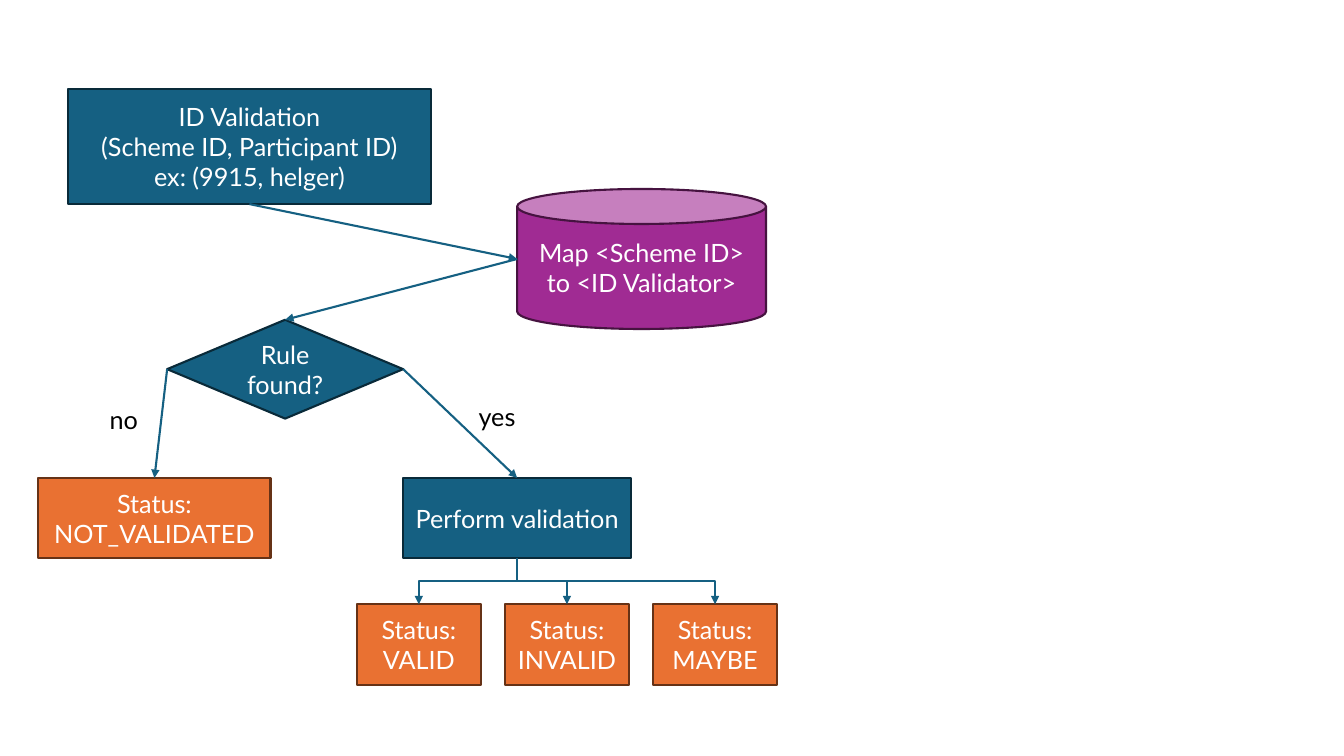
import dataclasses

import pptx
import pptx.dml.color
import pptx.enum.shapes
import pptx.enum.text
import pptx.oxml
import pptx.oxml.ns
import pptx.util

Pt = pptx.util.Pt
Preset = pptx.enum.shapes.MSO_SHAPE
Connector = pptx.enum.shapes.MSO_CONNECTOR
Align = pptx.enum.text.PP_ALIGN


@dataclasses.dataclass(frozen=True)
class Theme:
    font: str = "Lato"
    text_size: float = 18
    line_width: float = 1.5
    light_text: str = "FFFFFF"
    dark_text: str = "000000"
    arrow: str = "156082"
    step: tuple = ("156082", "092A39")
    store: tuple = ("A02B93", "461340")
    status: tuple = ("E97132", "663216")


THEME = Theme()

BOX_SITES = {"top": 0, "left": 1, "bottom": 2, "right": 3}
CAN_SITES = {"top": 1, "left": 2, "bottom": 3, "right": 4}


def rgb(value):
    return pptx.dml.color.RGBColor.from_string(value)


def write(frame, text, color, align):
    """Fill a text frame, one paragraph for each line of the text."""
    frame.text = text
    font_format = {"name": THEME.font, "size": Pt(THEME.text_size)}
    for paragraph in frame.paragraphs:
        paragraph.alignment = align
        for name, value in font_format.items():
            setattr(paragraph.font, name, value)
        paragraph.font.color.rgb = rgb(color)


def add_node(slide, preset, text, box, colors):
    node = slide.shapes.add_shape(preset, *map(Pt, box))
    fill, outline = colors
    node.shadow.inherit = False
    node.fill.solid()
    node.fill.fore_color.rgb = rgb(fill)
    node.line.color.rgb = rgb(outline)
    node.line.width = Pt(THEME.line_width)
    node.text_frame.word_wrap = True
    node.text_frame.vertical_anchor = pptx.enum.text.MSO_ANCHOR.MIDDLE
    write(node.text_frame, text, THEME.light_text, Align.CENTER)
    return node


def add_label(slide, text, box):
    frame = slide.shapes.add_textbox(*map(Pt, box)).text_frame
    frame.word_wrap = False
    frame.auto_size = pptx.enum.text.MSO_AUTO_SIZE.SHAPE_TO_FIT_TEXT
    write(frame, text, THEME.dark_text, Align.LEFT)


def side_point(node, side):
    """Return the middle of one side of a node."""
    across = {"left": 0, "right": node.width}.get(side, node.width // 2)
    down = {"top": 0, "bottom": node.height}.get(side, node.height // 2)
    return node.left + across, node.top + down


def site(node, side):
    is_can = node.auto_shape_type == Preset.CAN
    return (CAN_SITES if is_can else BOX_SITES)[side]


def add_arrow(slide, start, start_side, end, end_side, kind=Connector.STRAIGHT):
    x1, y1 = side_point(start, start_side)
    x2, y2 = side_point(end, end_side)
    if kind == Connector.ELBOW:
        # Lay the elbow on its side; the quarter turn below makes it run downwards.
        center_x, center_y = (x1 + x2) // 2, (y1 + y2) // 2
        half_run, half_drop = (x2 - x1) // 2, (y2 - y1) // 2
        x1, y1 = center_x - half_drop, center_y + half_run
        x2, y2 = center_x + half_drop, center_y - half_run

    arrow = slide.shapes.add_connector(kind, x1, y1, x2, y2)
    arrow.begin_connect(start, site(start, start_side))
    arrow.end_connect(end, site(end, end_side))
    ends = {"begin_x": x1, "begin_y": y1, "end_x": x2, "end_y": y2}
    for name, value in ends.items():
        setattr(arrow, name, value)

    arrow.line.color.rgb = rgb(THEME.arrow)
    arrow.line.width = Pt(THEME.line_width)
    properties = arrow.element.spPr
    if kind == Connector.ELBOW:
        properties.find(pptx.oxml.ns.qn("a:xfrm")).set("rot", str(90 * 60000))
    namespace = pptx.oxml.ns.nsdecls("a")
    head = pptx.oxml.parse_xml(f'<a:tailEnd {namespace} type="triangle"/>')
    properties.find(pptx.oxml.ns.qn("a:ln")).append(head)
    properties.append(pptx.oxml.parse_xml(f"<a:effectLst {namespace}/>"))


def main():
    deck = pptx.Presentation()
    deck.slide_width, deck.slide_height = Pt(960), Pt(540)
    slide = deck.slides.add_slide(deck.slide_layouts[6])

    request = add_node(
        slide, Preset.RECTANGLE,
        "ID Validation\n(Scheme ID, Participant ID)\nex: (9915, helger)",
        (48.8, 63.6, 258.8, 82.2), THEME.step)
    validators = add_node(
        slide, Preset.CAN, "Map <Scheme ID> to <ID Validator>",
        (369.4, 135, 177.8, 100), THEME.store)
    rule_found = add_node(
        slide, Preset.DIAMOND, "Rule found?",
        (119.4, 228.4, 168.6, 70.6), THEME.step)
    not_validated = add_node(
        slide, Preset.RECTANGLE, "Status: NOT_VALIDATED",
        (27.4, 341.4, 165.8, 57.4), THEME.status)
    perform = add_node(
        slide, Preset.RECTANGLE, "Perform validation",
        (288, 341.4, 162.8, 57.4), THEME.step)

    add_arrow(slide, request, "bottom", validators, "left")
    add_arrow(slide, validators, "left", rule_found, "top")
    add_arrow(slide, rule_found, "left", not_validated, "top")
    add_arrow(slide, rule_found, "right", perform, "top")
    add_label(slide, "no", (71.2, 285.4, 34.6, 29))
    add_label(slide, "yes", (334.8, 283.2, 41, 29))

    for column, outcome in enumerate(("VALID", "INVALID", "MAYBE")):
        result = add_node(
            slide, Preset.RECTANGLE, f"Status: {outcome}",
            (255 + 105.8 * column, 431.6, 88.4, 57.6), THEME.status)
        add_arrow(slide, perform, "bottom", result, "top", Connector.ELBOW)

    deck.save("out.pptx")


if __name__ == "__main__":
    main()
